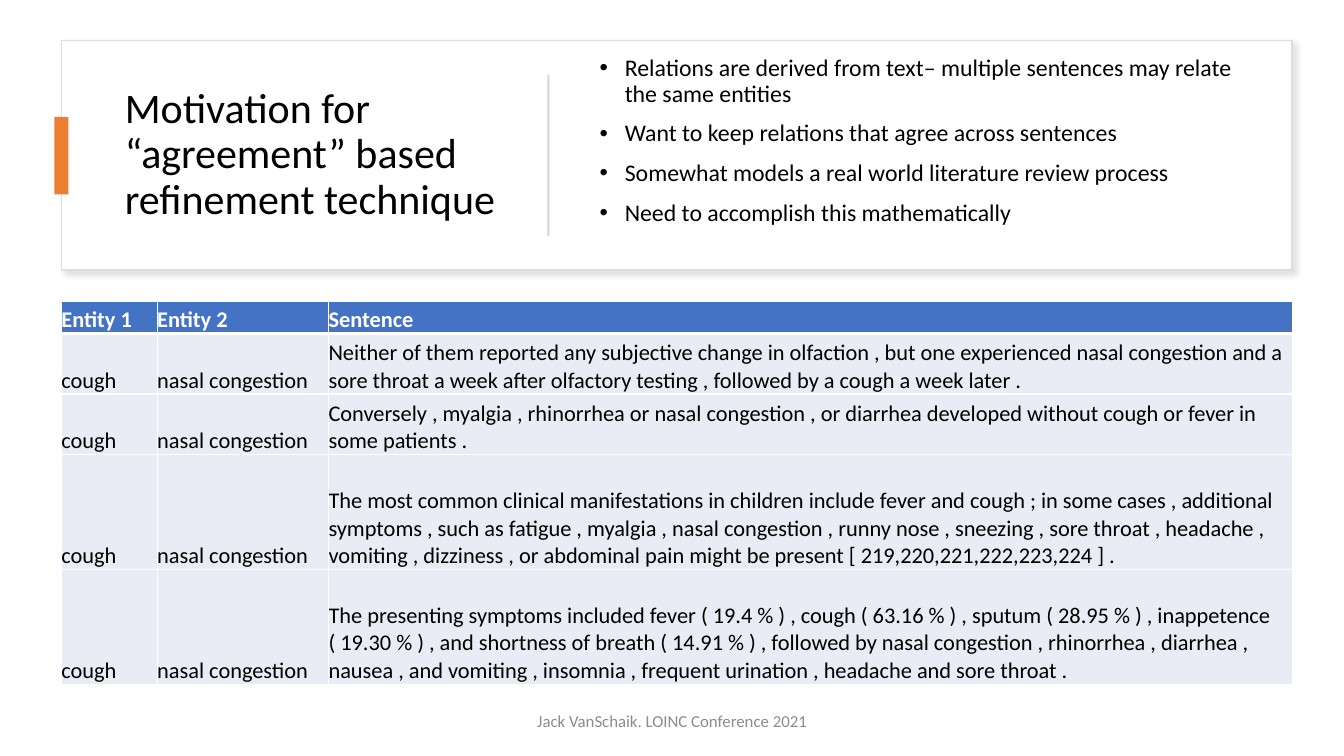
import pptx
import pptx.dml.color
import pptx.enum.shapes
import pptx.enum.text
import pptx.oxml
import pptx.oxml.ns
import pptx.util
from lxml import etree

Pt = pptx.util.Pt
ANCHOR = pptx.enum.text.MSO_ANCHOR
ALIGN = pptx.enum.text.PP_ALIGN
FONT = "Calibri"
COLORS = {
    "white": "FFFFFF",
    "text": "000000",
    "card_line": "DEDEDE",
    "shadow": "C5C3C3",
    "accent": "ED7D31",
    "divider": "D5D5D5",
    "header": "4472C4",
    "row": "E9EBF5",
    "footer": "8C8C8C",
}

TITLE = "Motivation for “agreement” based refinement technique"
POINTS = [
    "Relations are derived from text– multiple sentences may relate the same entities",
    "Want to keep relations that agree across sentences",
    "Somewhat models a real world literature review process",
    "Need to accomplish this mathematically",
]
HEADINGS = ["Entity 1", "Entity 2", "Sentence"]
SENTENCES = [
    "Neither of them reported any subjective change in olfaction , but one experienced "
    "nasal congestion and a sore throat a week after olfactory testing , followed by a "
    "cough a week later .",
    "Conversely , myalgia , rhinorrhea or nasal congestion , or diarrhea developed "
    "without cough or fever in some patients .",
    "The most common clinical manifestations in children include fever and cough ; in "
    "some cases , additional symptoms , such as fatigue , myalgia , nasal congestion , "
    "runny nose , sneezing , sore throat , headache , vomiting , dizziness , or abdominal "
    "pain might be present [ 219,220,221,222,223,224 ] .",
    "The presenting symptoms included fever ( 19.4 % ) , cough ( 63.16 % ) , sputum "
    "( 28.95 % ) , inappetence ( 19.30 % ) , and shortness of breath ( 14.91 % ) , "
    "followed by nasal congestion , rhinorrhea , diarrhea , nausea , and vomiting , "
    "insomnia , frequent urination , headache and sore throat .",
]
COL_WIDTHS = [68.4, 122.4, 688.5]
ROW_HEIGHTS = [23, 43.2, 43.2, 82.1, 82.1]


def rgb(name):
    return pptx.dml.color.RGBColor.from_string(COLORS[name])


def add_rect(slide, x, y, w, h, fill, line=None):
    sp = slide.shapes.add_shape(
        pptx.enum.shapes.MSO_SHAPE.RECTANGLE, Pt(x), Pt(y), Pt(w), Pt(h))
    sp.shadow.inherit = False
    sp.fill.solid()
    sp.fill.fore_color.rgb = rgb(fill)
    if line:
        sp.line.color.rgb = rgb(line)
        sp.line.width = Pt(1)
    else:
        sp.line.fill.background()
    return sp


def add_soft_shadow(sp):
    effects = sp._element.spPr.find(pptx.oxml.ns.qn("a:effectLst"))
    effects.append(pptx.oxml.parse_xml(
        f'<a:outerShdw {pptx.oxml.ns.nsdecls("a")} blurRad="{Pt(4)}" dist="{Pt(3)}" '
        f'dir="2700000" algn="tl" rotWithShape="0"><a:srgbClr val="{COLORS["shadow"]}">'
        '<a:alpha val="50000"/></a:srgbClr></a:outerShdw>'))


def style_runs(p, size, color, bold=False):
    for r in p.runs:
        r.font.name = FONT
        r.font.size = Pt(size)
        r.font.bold = bold
        r.font.color.rgb = rgb(color)


def add_text(slide, x, y, w, h, lines, size, color="text", anchor=ANCHOR.MIDDLE,
             align=ALIGN.LEFT, spacing=1.0):
    """Add a wrapped text box with one paragraph per line and return its paragraphs."""
    tf = slide.shapes.add_textbox(Pt(x), Pt(y), Pt(w), Pt(h)).text_frame
    tf.word_wrap = True
    tf.vertical_anchor = anchor
    tf.text = "\n".join(lines)
    for p in tf.paragraphs:
        p.alignment = align
        p.line_spacing = spacing
        style_runs(p, size, color)
    return tf.paragraphs


def add_bullets(paragraphs, indent=18, gap=10):
    for i, p in enumerate(paragraphs):
        p.space_before = Pt(gap if i else 0)
        pPr = p._p.get_or_add_pPr()
        pPr.set("marL", str(Pt(indent)))
        pPr.set("indent", str(-Pt(indent)))
        for tag, key, value in (("a:buFont", "typeface", "Arial"), ("a:buChar", "char", "•")):
            etree.SubElement(pPr, pptx.oxml.ns.qn(tag)).set(key, value)


def set_borders(cell, top, bottom):
    tcPr = cell._tc.get_or_add_tcPr()
    for side, width in (("L", 1), ("R", 1), ("T", top), ("B", bottom)):
        tcPr.append(pptx.oxml.parse_xml(
            f'<a:ln{side} {pptx.oxml.ns.nsdecls("a")} w="{Pt(width)}"><a:solidFill>'
            f'<a:srgbClr val="{COLORS["white"]}"/></a:solidFill></a:ln{side}>'))


def fill_cell(cell, text, row):
    header = row == 0
    cell.margin_left = cell.margin_right = cell.margin_top = cell.margin_bottom = 0
    cell.vertical_anchor = ANCHOR.BOTTOM
    set_borders(cell, top=3 if row == 1 else 1, bottom=3 if header else 1)
    cell.fill.solid()
    cell.fill.fore_color.rgb = rgb("header" if header else "row")
    cell.text = text
    style_runs(cell.text_frame.paragraphs[0], 16, "white" if header else "text", header)


def add_sentence_table(slide, x, y):
    rows = [HEADINGS] + [["cough", "nasal congestion", s] for s in SENTENCES]
    table = slide.shapes.add_table(
        len(rows), len(HEADINGS), Pt(x), Pt(y),
        Pt(sum(COL_WIDTHS)), Pt(sum(ROW_HEIGHTS))).table
    table.first_row = table.horz_banding = False
    for column, width in zip(table.columns, COL_WIDTHS):
        column.width = Pt(width)
    for i, (height, texts) in enumerate(zip(ROW_HEIGHTS, rows)):
        table.rows[i].height = Pt(height)
        for j, text in enumerate(texts):
            fill_cell(table.cell(i, j), text, i)


def main():
    prs = pptx.Presentation()
    prs.slide_width, prs.slide_height = Pt(960), Pt(540)
    slide = prs.slides.add_slide(prs.slide_layouts[6])

    card = add_rect(slide, 43.9, 28.8, 879.1, 164.2, "white", "card_line")
    add_soft_shadow(card)
    add_text(slide, 82.1, 46.1, 280, 129.6, [TITLE], 30, spacing=0.9)
    add_rect(slide, 38.9, 83.5, 10, 55.4, "accent")
    add_rect(slide, 391, 53.3, 1.4, 115.2, "divider")
    points = add_text(slide, 421.2, 36.4, 472.3, 130, POINTS, 17,
                      anchor=ANCHOR.TOP, spacing=0.9)
    add_bullets(points)

    add_sentence_table(slide, 43.9, 215.3)
    add_text(slide, 318.2, 500.4, 324, 28.8, ["Jack VanSchaik. LOINC Conference 2021"],
             12, "footer", align=ALIGN.CENTER)
    prs.save("out.pptx")


if __name__ == "__main__":
    main()
